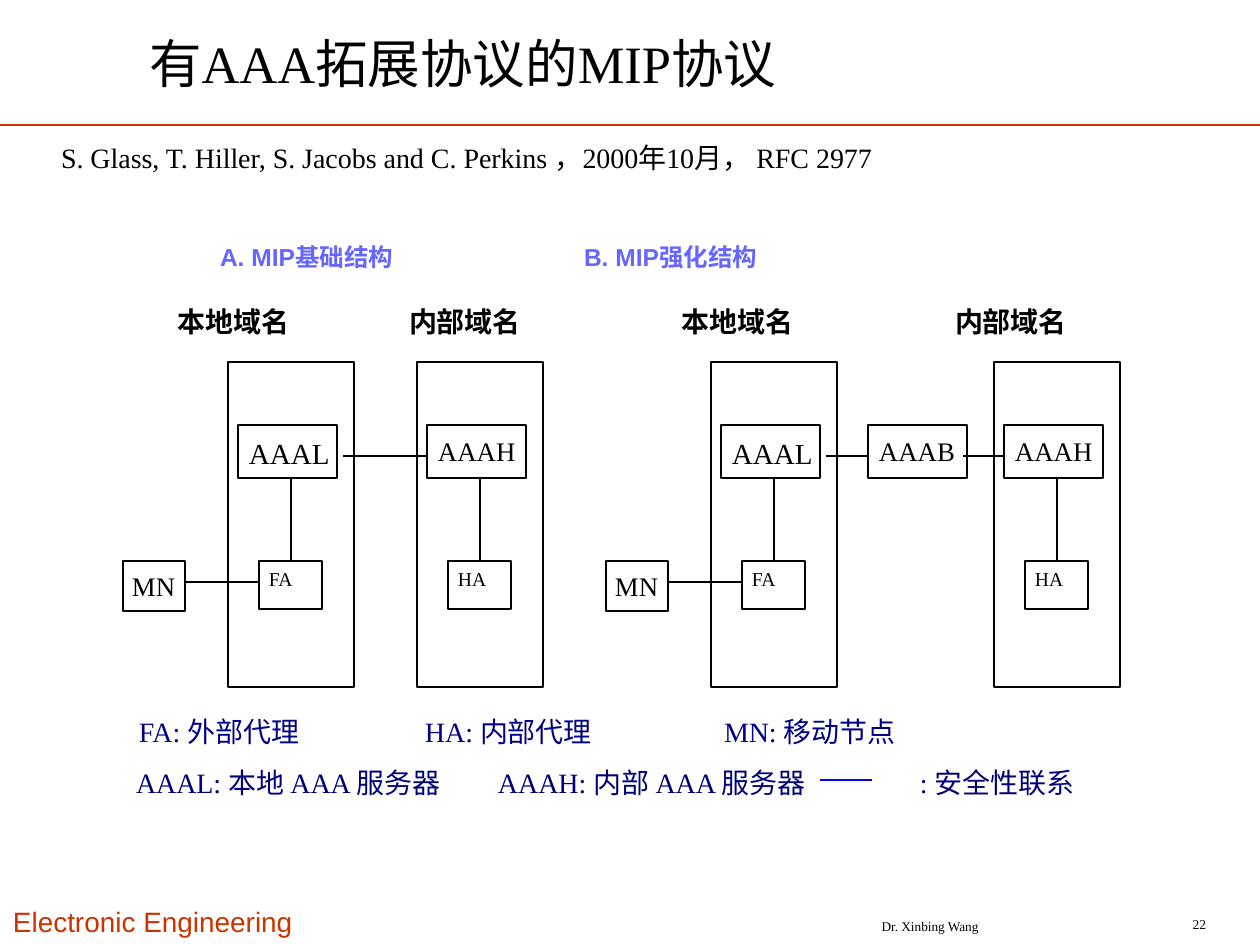
from dataclasses import dataclass

import pptx
import pptx.dml.color
import pptx.enum.shapes
import pptx.enum.text
import pptx.oxml.ns
import pptx.util
from lxml import etree

PX_PER_INCH = 126
SERIF, SANS = "Times New Roman", "Arial"
BLACK, RUST = "000000", "CC3300"
ALIGN = pptx.enum.text.PP_ALIGN
ANCHOR = pptx.enum.text.MSO_ANCHOR
INSET = (13, 6, 13, 6)

# Heights and sizes shared by both diagrams
DOMAIN_TOP, DOMAIN_WIDTH, DOMAIN_HEIGHT = 362, 126, 325
SERVER_TOP, SERVER_HEIGHT = 425, 53
AGENT_TOP = 561
SERVER_LINK_Y, MOBILE_LINK_Y = 456, 582


@dataclass(frozen=True)
class Style:
    size: float
    font: str = SERIF
    color: str = BLACK
    bold: bool = False
    align: ALIGN = ALIGN.LEFT
    anchor: ANCHOR = ANCHOR.TOP


@dataclass(frozen=True)
class NodeKind:
    top: int
    width: int
    height: int
    inset: tuple[int, int]
    size: float


@dataclass(frozen=True)
class Caption:
    text: str
    box: tuple[int, int, int, int]
    style: Style
    tabs: tuple[int, ...] = ()


@dataclass(frozen=True)
class Diagram:
    local_left: int
    home_left: int
    local_label_left: int
    home_label_left: int
    broker_left: int | None = None


SERVER = NodeKind(SERVER_TOP, 99, SERVER_HEIGHT, (11, 10), 15.3)
LOCAL_SERVER = NodeKind(SERVER_TOP, 99, SERVER_HEIGHT, (11, 10), 16.6)
AGENT = NodeKind(AGENT_TOP, 63, 48, (10, 6), 11.2)
MOBILE = NodeKind(AGENT_TOP, 62, 50, (9, 9), 15.3)

DOMAIN_LABEL = Style(16, SANS, bold=True)

DIAGRAMS = (
    Diagram(228, 417, 165, 396),
    Diagram(711, 994, 669, 942, broker_left=868),
)

CAPTIONS = (
    Caption("Electronic Engineering", (0, 898, 321, 47), Style(16, SANS, RUST)),
    Caption("Dr. Xinbing Wang", (777, 910, 306, 32),
            Style(7.6, align=ALIGN.CENTER, anchor=ANCHOR.MIDDLE)),
    Caption("22", (1114, 908, 105, 32),
            Style(7.7, align=ALIGN.RIGHT, anchor=ANCHOR.MIDDLE)),
    Caption("S. Glass, T. Hiller, S. Jacobs and C. Perkins ，2000年10月， RFC 2977",
            (48, 135, 1138, 73), Style(16)),
    Caption("A. MIP基础结构\tB. MIP强化结构", (207, 236, 914, 43),
            Style(14, SANS, "6666FF", bold=True), (364,)),
    Caption("FA: 外部代理\tHA: 内部代理\tMN: 移动节点", (126, 709, 989, 53),
            Style(16, color="000085"), (286, 585)),
    Caption("AAAL: 本地 AAA 服务器\tAAAH: 内部 AAA 服务器\t: 安全性联系",
            (123, 760, 1066, 53), Style(16, color="000077"), (362, 784)),
)


def px(length: int) -> pptx.util.Emu:
    return pptx.util.Emu(round(length * 914400 / PX_PER_INCH))


def rgb(color: str) -> pptx.dml.color.RGBColor:
    return pptx.dml.color.RGBColor.from_string(color)


def write(shape, text: str, style: Style, inset=INSET, tabs=()) -> None:
    left, top, right, bottom = map(px, inset)
    frame = shape.text_frame
    frame_format = {
        "margin_left": left, "margin_top": top,
        "margin_right": right, "margin_bottom": bottom,
        "word_wrap": True, "vertical_anchor": style.anchor,
        "auto_size": pptx.enum.text.MSO_AUTO_SIZE.NONE,
    }
    for name, value in frame_format.items():
        setattr(frame, name, value)

    paragraph = frame.paragraphs[0]
    paragraph.text = text
    paragraph.alignment = style.align
    if tabs:
        properties = paragraph._p.get_or_add_pPr()
        stops = etree.SubElement(properties, pptx.oxml.ns.qn("a:tabLst"))
        for position in tabs:
            etree.SubElement(stops, pptx.oxml.ns.qn("a:tab"),
                             pos=str(px(position)), algn="l")
    font_format = {"name": style.font, "size": pptx.util.Pt(style.size),
                   "bold": style.bold}
    for name, value in font_format.items():
        setattr(paragraph.font, name, value)
    paragraph.font.color.rgb = rgb(style.color)
    for run in paragraph.runs:
        for name, value in font_format.items():
            setattr(run.font, name, value)
        run.font.color.rgb = rgb(style.color)


def add_caption(slide, caption: Caption) -> None:
    box = slide.shapes.add_textbox(*map(px, caption.box))
    write(box, caption.text, caption.style, tabs=caption.tabs)


def add_frame(slide, left: int, top: int, width: int, height: int):
    frame = slide.shapes.add_shape(pptx.enum.shapes.MSO_SHAPE.RECTANGLE,
                                   *map(px, (left, top, width, height)))
    frame.shadow.inherit = False
    frame.fill.background()
    frame.line.color.rgb = rgb(BLACK)
    frame.line.width = pptx.util.Pt(0.75)
    return frame


def add_node(slide, text: str, left: int, kind: NodeKind) -> None:
    node = add_frame(slide, left, kind.top, kind.width, kind.height)
    write(node, text, Style(kind.size), (*kind.inset, 0, 0))


def add_link(slide, x1: int, y1: int, x2: int, y2: int,
             color: str = BLACK, width: float = 0.75) -> None:
    link = slide.shapes.add_connector(pptx.enum.shapes.MSO_CONNECTOR.STRAIGHT,
                                      *map(px, (x1, y1, x2, y2)))
    link.line.color.rgb = rgb(color)
    link.line.width = pptx.util.Pt(width)
    etree.SubElement(link._element.spPr, pptx.oxml.ns.qn("a:effectLst"))


def add_diagram(slide, diagram: Diagram) -> None:
    local, home = diagram.local_left, diagram.home_left

    # Domains, each with a server above its agent
    for left, label, label_left, server, server_kind, agent in (
        (local, "本地域名", diagram.local_label_left, "AAAL", LOCAL_SERVER, "FA"),
        (home, "内部域名", diagram.home_label_left, "AAAH", SERVER, "HA"),
    ):
        add_frame(slide, left, DOMAIN_TOP, DOMAIN_WIDTH, DOMAIN_HEIGHT)
        add_node(slide, server, left + 10, server_kind)
        add_node(slide, agent, left + 31, AGENT)
        middle = left + DOMAIN_WIDTH // 2
        add_link(slide, middle, SERVER_TOP + SERVER_HEIGHT, middle, AGENT_TOP)
        add_caption(slide, Caption(label, (label_left, 299, 232, 47), DOMAIN_LABEL))

    # Mobile node
    add_node(slide, "MN", local - 105, MOBILE)
    add_link(slide, local - 42, MOBILE_LINK_Y, local + 31, MOBILE_LINK_Y)

    # Links between servers, through the broker where there is one
    start = local + 115
    if diagram.broker_left is not None:
        broker = diagram.broker_left
        add_node(slide, "AAAB", broker, SERVER)
        add_link(slide, start, SERVER_LINK_Y, broker, SERVER_LINK_Y)
        start = broker + 95
    add_link(slide, start, SERVER_LINK_Y, home + 10, SERVER_LINK_Y)


def main() -> None:
    deck = pptx.Presentation()
    deck.slide_width, deck.slide_height = px(1260), px(945)
    slide = deck.slides.add_slide(deck.slide_layouts[5])

    # Title and rule
    title = slide.shapes.title
    title.left, title.top, title.width, title.height = map(px, (136, 19, 835, 87))
    write(title, "有AAA拓展协议的MIP协议", Style(30, anchor=ANCHOR.MIDDLE))
    add_link(slide, 0, 125, 1260, 125, RUST, 1.5)

    for caption in CAPTIONS:
        add_caption(slide, caption)
    for diagram in DIAGRAMS:
        add_diagram(slide, diagram)

    # Legend sample of a security association
    add_link(slide, 820, 780, 872, 780, "0000FF", 1.5)
    deck.save("out.pptx")


if __name__ == "__main__":
    main()
